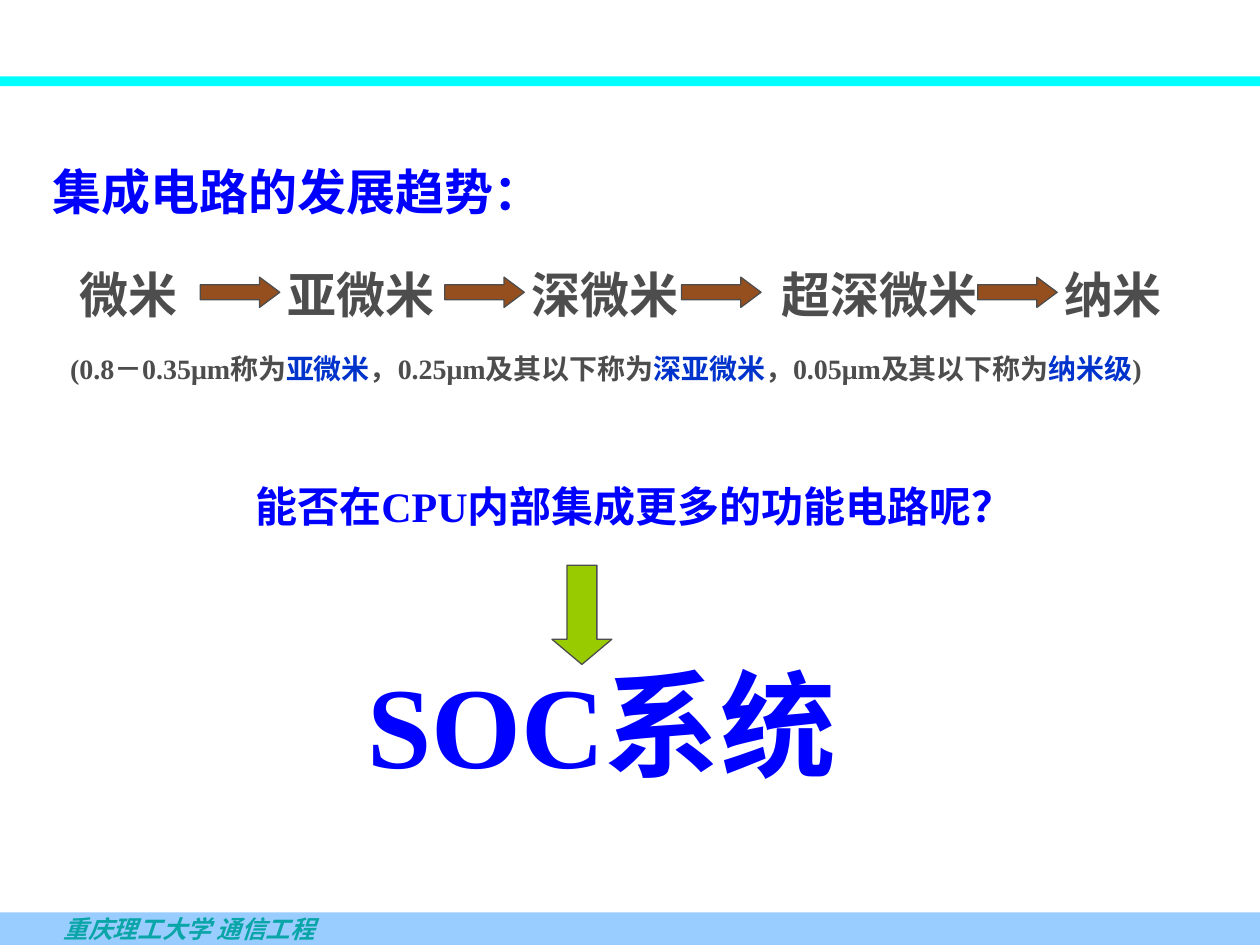
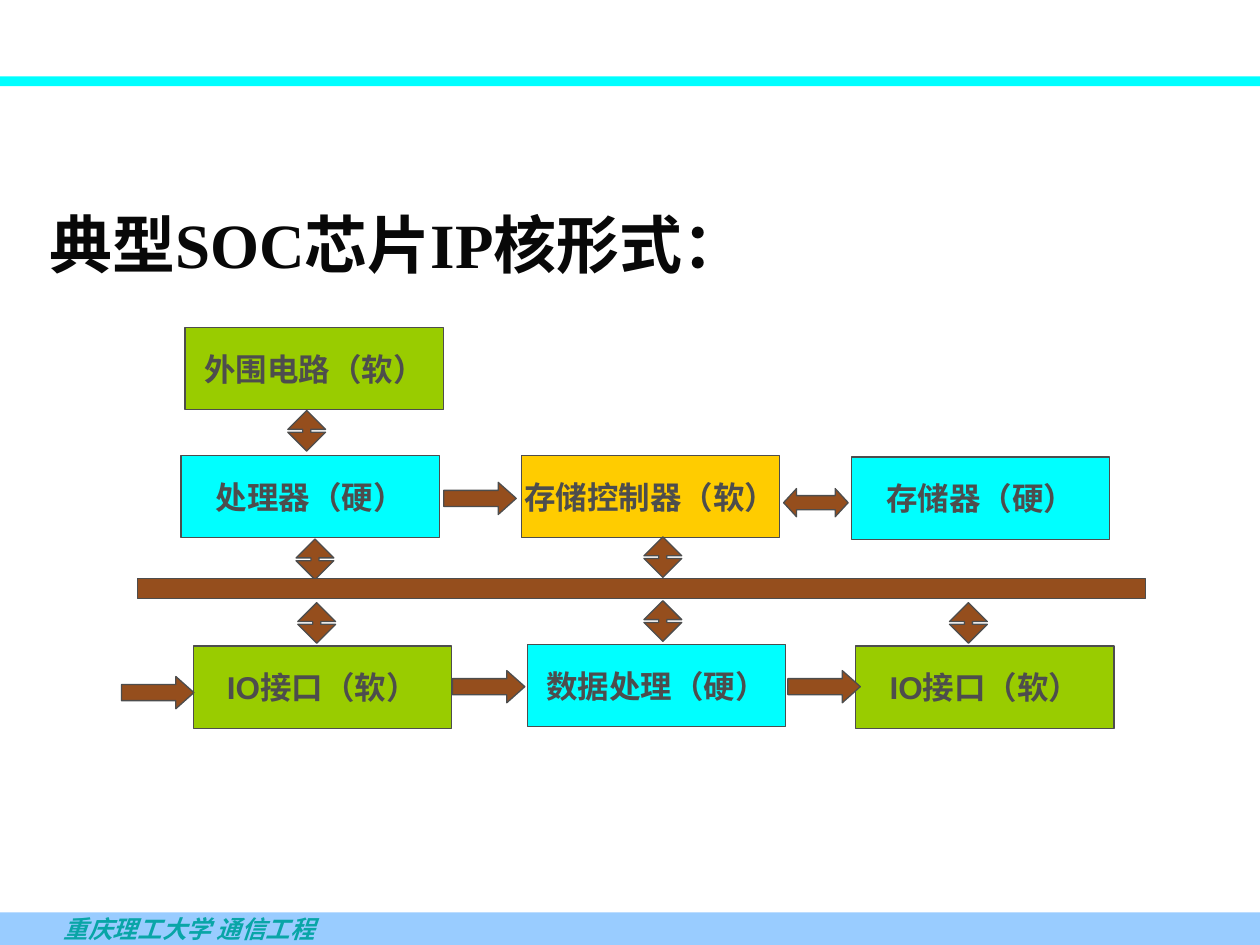
from dataclasses import dataclass

from pptx import Presentation
from pptx.dml.color import RGBColor
from pptx.enum.shapes import MSO_SHAPE as Shape
from pptx.enum.text import MSO_ANCHOR as Anchor, MSO_AUTO_SIZE as AutoSize, PP_ALIGN as Align
from pptx.util import Pt


@dataclass(frozen=True)
class Theme:
    band: str = "99CCFF"
    rule: str = "00FFFF"
    footer: str = "09A5A7"
    text: str = "4D4D4D"
    heading: str = "0000FF"
    black: str = "080808"
    term: str = "0033CC"
    arrow: str = "954E1D"
    green: str = "99CC00"
    cyan: str = "00FFFF"
    amber: str = "FFCC00"
    serif: str = "Times New Roman"
    sans: str = "Arial"
    step_font: str = "DejaVu Sans"
    footer_font: str = "Noto Sans CJK SC"
    footer_size: int = 14
    note_size: int = 16
    node_size: int = 18
    question_size: int = 24
    step_size: int = 28
    title_size: int = 36
    answer_size: int = 66


THEME = Theme()
SLIDE_W, SLIDE_H = 720, 540
FOOTER = "重庆理工大学 通信工程"

# Slide 1: text, left, width of each step; an arrow lies between neighbours
TREND_TITLE = "集成电路的发展趋势："
STEPS = [
    ("微米", 37.4, 72),
    ("亚微米", 170.2, 72),
    ("深微米", 309.6, 72),
    ("超深微米", 452.9, 99.4),
    ("纳米", 600, 72),
]
STEP_TOP, STEP_H = 146.9, 41.8
STEP_ARROW_LEFTS = [114.5, 254.2, 389.5, 558.7]
NOTE = [
    ("(0.8－0.35μm称为", False),
    ("亚微米", True),
    ("，0.25μm及其以下称为", False),
    ("深亚微米", True),
    ("，0.05μm及其以下称为", False),
    ("纳米级", True),
    (")", False),
]
QUESTION = "能否在CPU内部集成更多的功能电路呢？"
ANSWER = "SOC系统"

# Slide 2: text, fill, left, top of each core
CORE_TITLE = "典型SOC芯片IP核形式："
CORES = [
    ("外围电路（软）", THEME.green, 105.8, 187.2),
    ("处理器（硬）", THEME.cyan, 103.5, 260.2),
    ("存储控制器（软）", THEME.amber, 297.9, 260.2),
    ("存储器（硬）", THEME.cyan, 486.5, 261.2),
    ("IO接口（软）", THEME.green, 110.4, 369.2),
    ("IO接口（软）", THEME.green, 489, 369.2),
    ("数据处理（硬）", THEME.cyan, 301.4, 368.3),
]
CORE_W, CORE_H = 147.6, 46.9
BUS = (78.5, 330.5, 576, 11.6)
# preset, width, height, adjustments, places
LINKS = [
    (Shape.UP_DOWN_ARROW, 21.6, 23.2, (0.5, 0.21),
     [(169.2, 308), (368, 306.8), (164.5, 234.6),
      (170.2, 344.4), (368, 343.3), (542.6, 344.4)]),
    (Shape.RIGHT_ARROW, 41.4, 18.4, (0.5, 0.56),
     [(69.4, 386.6), (258.5, 383.2), (450.2, 383.2), (253.6, 275.6)]),
    (Shape.LEFT_RIGHT_ARROW, 36.9, 16.1, (0.5, 0.46), [(447.8, 279.2)]),
]


def rgb(colour):
    return RGBColor.from_string(colour)


def style(paragraph, size, colour, font, align=Align.LEFT, italic=False):
    paragraph.alignment = align
    face = paragraph.font
    face.size, face.name = Pt(size), font
    face.bold, face.italic = True, italic
    face.color.rgb = rgb(colour)


def add_block(slide, preset, box, fill=None, outline=THEME.text, adjust=()):
    """Add a flat shape; no fill or outline where the colour is None."""
    block = slide.shapes.add_shape(preset, *map(Pt, box))
    block.shadow.inherit = False
    for index, value in enumerate(adjust):
        block.adjustments[index] = value
    if fill:
        block.fill.solid()
        block.fill.fore_color.rgb = rgb(fill)
    else:
        block.fill.background()
    if outline:
        block.line.color.rgb = rgb(outline)
        block.line.width = Pt(0.75)
    else:
        block.line.fill.background()
    return block


def label(block, text, size, colour, font, **options):
    frame = block.text_frame
    frame.word_wrap = False
    frame.vertical_anchor = Anchor.MIDDLE
    frame.text = text
    style(frame.paragraphs[0], size, colour, font, **options)


def add_text(slide, box, anchor):
    frame = slide.shapes.add_textbox(*map(Pt, box)).text_frame
    frame.word_wrap = True
    frame.vertical_anchor = anchor
    return frame


def set_title(slide, text, box, size, colour, anchor):
    title = slide.shapes.title
    title.left, title.top, title.width, title.height = map(Pt, box)
    frame = title.text_frame
    frame.text = text
    frame.word_wrap = True
    frame.auto_size = AutoSize.NONE
    frame.vertical_anchor = anchor
    style(frame.paragraphs[0], size, colour, THEME.serif)


def move_bands_to_master(slide, master):
    """Draw the shared bands and footer, then hand them to the slide master."""
    footer = add_block(slide, Shape.RECTANGLE, (0, 521.4, SLIDE_W, 18.6), THEME.band, None)
    label(footer, FOOTER, THEME.footer_size, THEME.footer, THEME.footer_font, italic=True)
    footer.text_frame.margin_left = Pt(36.5)
    rule = add_block(slide, Shape.RECTANGLE, (0, 43.7, SLIDE_W, 5.6), THEME.rule, None)
    for position, band in enumerate((footer, rule)):
        band.element.nvSpPr.cNvPr.set("id", str(100 + position))
        master.shapes.element.insert(2 + position, band.element)


def build_trend(slide):
    set_title(slide, TREND_TITLE, (23, 79.2, 527, 50.4),
              THEME.step_size, THEME.heading, Anchor.BOTTOM)
    for text, left, width in STEPS:
        step = add_block(slide, Shape.RECTANGLE, (left, STEP_TOP, width, STEP_H), outline=None)
        label(step, text, THEME.step_size, THEME.text, THEME.step_font, align=Align.CENTER)
    for left in STEP_ARROW_LEFTS:
        add_block(slide, Shape.RIGHT_ARROW, (left, 158.4, 45.4, 17.3),
                  THEME.arrow, adjust=(0.5, 0.67))

    note = add_text(slide, (33, 197.3, 653, 45), Anchor.TOP).paragraphs[0]
    style(note, THEME.note_size, THEME.text, THEME.serif)
    for text, is_term in NOTE:
        run = note.add_run()
        run.text = text
        if is_term:
            run.font.color.rgb = rgb(THEME.term)

    for text, box, size in [
        (QUESTION, (56.2, 256.3, 612.7, 50.4), THEME.question_size),
        (ANSWER, (37.4, 353.5, 612.7, 102.2), THEME.answer_size),
    ]:
        frame = add_text(slide, box, Anchor.BOTTOM)
        frame.text = text
        style(frame.paragraphs[0], size, THEME.heading, THEME.serif, Align.CENTER)
    add_block(slide, Shape.DOWN_ARROW, (315.4, 323, 34.2, 56.7),
              THEME.green, adjust=(0.5, 0.42))


def build_cores(slide):
    set_title(slide, CORE_TITLE, (20.9, 113.8, 470, 50.4),
              THEME.title_size, THEME.black, Anchor.TOP)
    for text, fill, left, top in CORES:
        core = add_block(slide, Shape.RECTANGLE, (left, top, CORE_W, CORE_H), fill)
        label(core, text, THEME.node_size, THEME.text, THEME.sans, align=Align.CENTER)
    for preset, width, height, adjust, places in LINKS:
        for left, top in places:
            add_block(slide, preset, (left, top, width, height), THEME.arrow, adjust=adjust)
    add_block(slide, Shape.RECTANGLE, BUS, THEME.arrow)


def main():
    deck = Presentation()
    deck.slide_width, deck.slide_height = Pt(SLIDE_W), Pt(SLIDE_H)
    title_only = deck.slide_layouts[5]
    trend, cores = (deck.slides.add_slide(title_only) for _ in range(2))
    move_bands_to_master(trend, deck.slide_master)
    build_trend(trend)
    build_cores(cores)
    deck.save("out.pptx")


if __name__ == "__main__":
    main()
